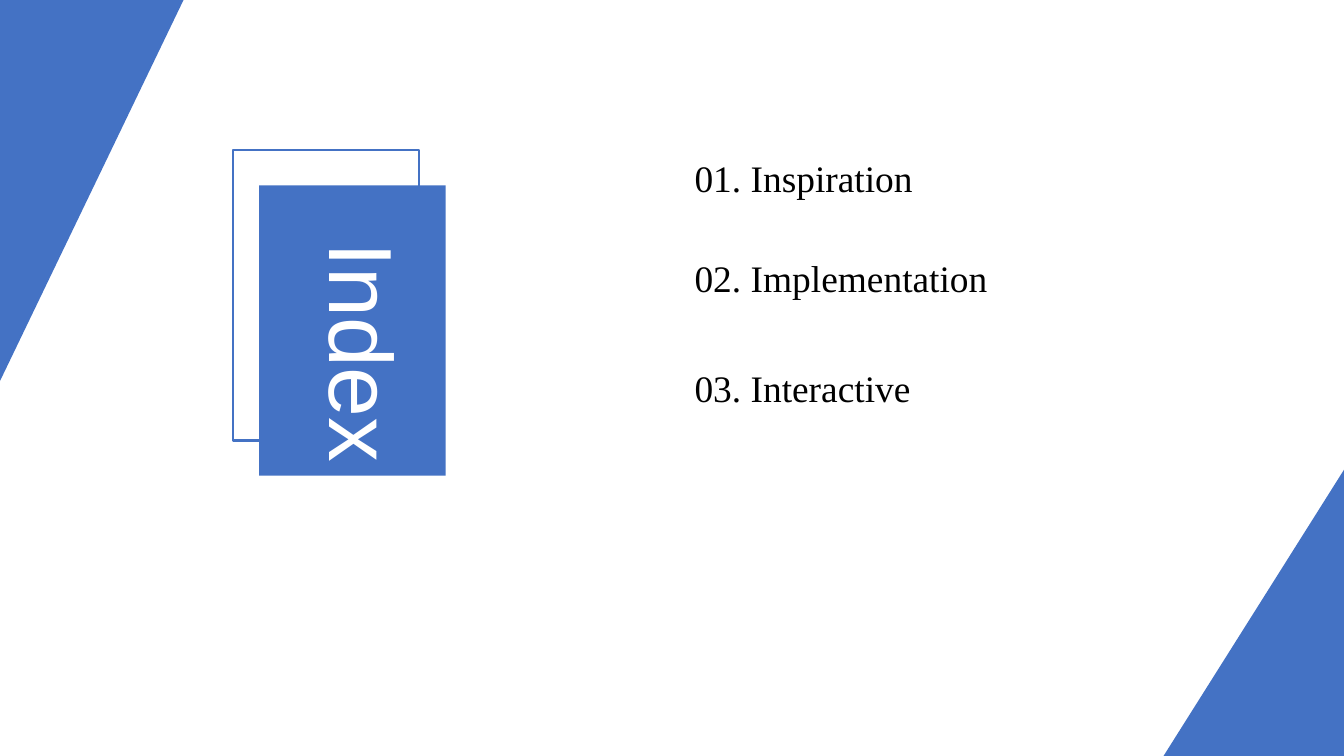
import pptx
import pptx.util
import pptx.dml.color
import pptx.enum.shapes
import pptx.enum.text

BLUE = pptx.dml.color.RGBColor(0x44, 0x72, 0xC4)
WHITE = pptx.dml.color.RGBColor(0xFF, 0xFF, 0xFF)
BLACK = pptx.dml.color.RGBColor(0x00, 0x00, 0x00)

WIDTH, HEIGHT = 13.33, 7.5
TITLE = "Index"
TOPICS = [
    ("01. Inspiration", 1.49, 0.73),
    ("02. Implementation", 2.48, 0.55),
    ("03. Interactive", 3.57, 0.71),
]
TOPIC_LEFT, TOPIC_WIDTH = 6.79, 4.32
TITLE_BOX = (2.93, 2.31, 1.28, 2.75)
CARD_LEFT, CARD_TOP, CARD_WIDTH, CARD_HEIGHT = 2.31, 1.49, 1.85, 2.88
CARD_SHIFT = (0.26, 0.35)
CORNERS = [
    [(0, 0), (1.82, 0), (0, 3.78)],
    [(WIDTH, HEIGHT), (11.54, HEIGHT), (WIDTH, 4.66)],
]


def inches(values):
    return [pptx.util.Inches(value) for value in values]


def add_card(slide, shift_x, shift_y):
    card = slide.shapes.add_shape(
        pptx.enum.shapes.MSO_SHAPE.RECTANGLE,
        *inches((CARD_LEFT + shift_x, CARD_TOP + shift_y, CARD_WIDTH, CARD_HEIGHT)))
    card.shadow.inherit = False
    return card


def add_label(slide, text, place, size, font_name, color):
    frame = slide.shapes.add_textbox(*inches(place)).text_frame
    frame.word_wrap = True
    frame.auto_size = pptx.enum.text.MSO_AUTO_SIZE.SHAPE_TO_FIT_TEXT
    paragraph = frame.paragraphs[0]
    paragraph.text = text
    paragraph.font.size = pptx.util.Pt(size)
    paragraph.font.name = font_name
    paragraph.font.color.rgb = color
    return frame


def add_corner(slide, points):
    start, *rest = [inches(point) for point in points]
    builder = slide.shapes.build_freeform(*start)
    builder.add_line_segments(rest, close=True)
    corner = builder.convert_to_shape()
    corner.shadow.inherit = False
    corner.fill.solid()
    corner.fill.fore_color.rgb = BLUE
    corner.line.fill.background()


def main():
    deck = pptx.Presentation()
    deck.slide_width, deck.slide_height = inches((WIDTH, HEIGHT))
    slide = deck.slides.add_slide(deck.slide_layouts[6])

    outline_card = add_card(slide, 0, 0)
    outline_card.fill.background()
    outline_card.line.color.rgb = BLUE
    outline_card.line.width = pptx.util.Pt(1.5)

    solid_card = add_card(slide, *CARD_SHIFT)
    solid_card.fill.solid()
    solid_card.fill.fore_color.rgb = BLUE
    solid_card.line.fill.background()

    title = add_label(slide, TITLE, TITLE_BOX, 64, "Arial", WHITE)
    title._txBody.bodyPr.set("vert", "eaVert")

    for topic, top, height in TOPICS:
        place = (TOPIC_LEFT, top, TOPIC_WIDTH, height)
        add_label(slide, topic, place, 26.7, "Times New Roman", BLACK)

    for points in CORNERS:
        add_corner(slide, points)

    deck.save("out.pptx")


if __name__ == "__main__":
    main()
